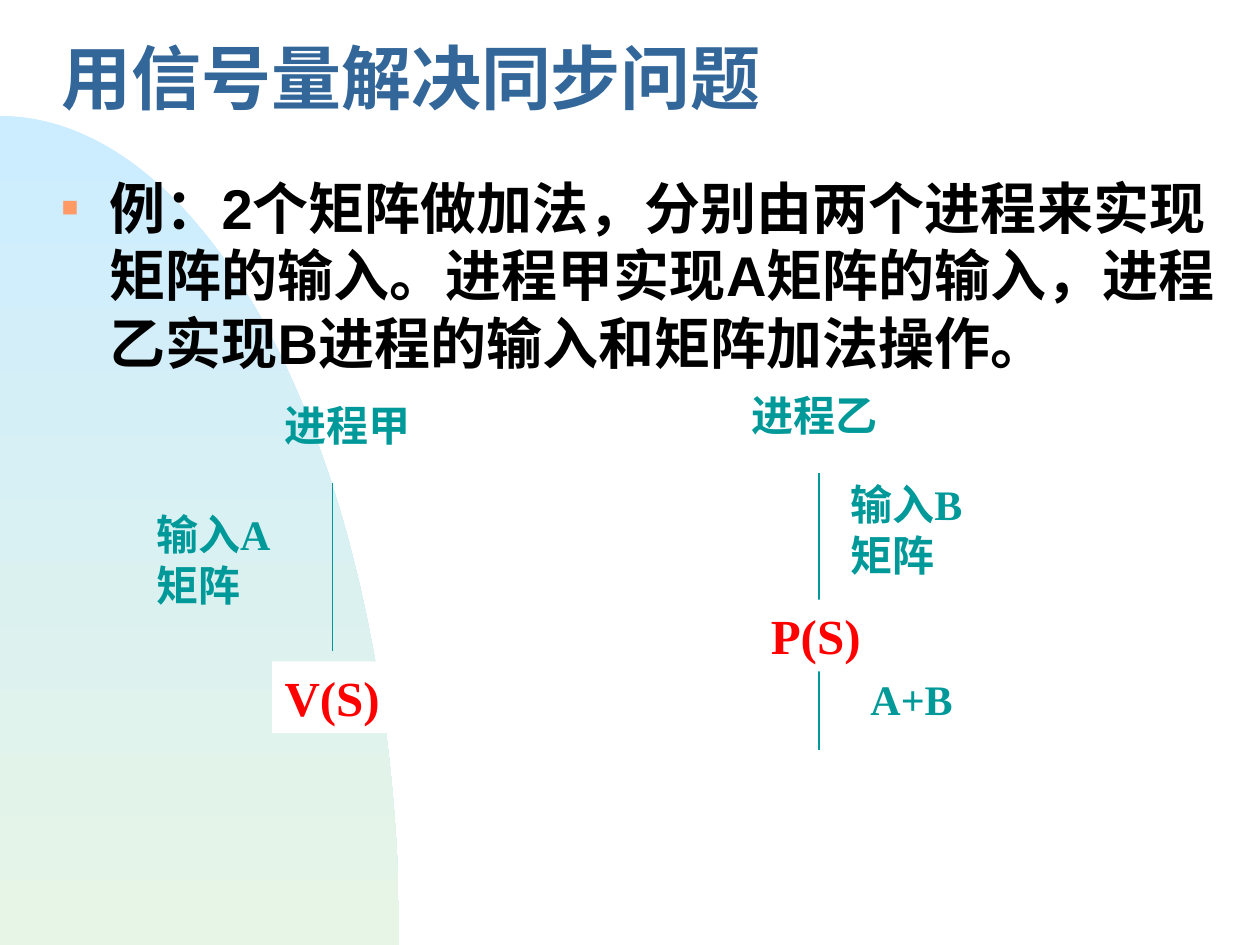
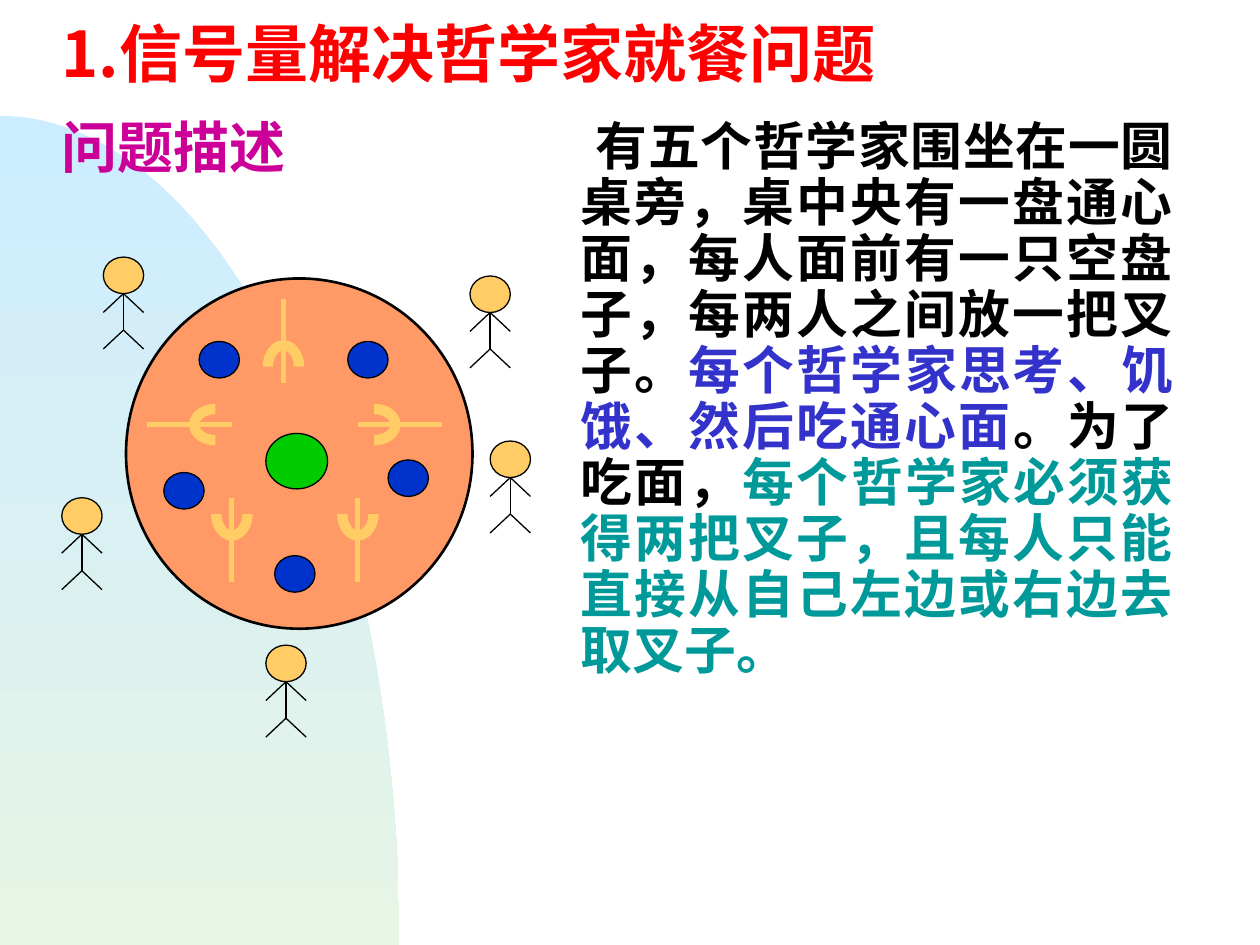
import math
from dataclasses import dataclass

from lxml import etree
from pptx import Presentation
from pptx.dml.color import RGBColor
from pptx.enum import shapes, text
from pptx.oxml.ns import qn
from pptx.util import Inches, Pt


@dataclass(frozen=True)
class Theme:
    white: str = "FFFFFF"
    black: str = "000000"
    sky: str = "CCECFF"
    meadow: str = "E6F5E6"
    heading: str = "336699"
    red: str = "FF0000"
    magenta: str = "CC0099"
    teal: str = "009999"
    violet: str = "3333CC"
    orange: str = "FF9966"
    sand: str = "FFCC66"
    plate: str = "0033CC"
    noodles: str = "00CC00"
    sans: str = "Arial"
    narrow: str = "Arial Narrow"
    serif: str = "Times New Roman"
    cjk: str = "Noto Sans CJK SC"
    title_size: float = 40
    section_size: float = 36
    body_size: float = 32
    story_size: float = 29.6
    semaphore_size: float = 28
    label_size: float = 24
    thin: float = 0.75
    rim: float = 1.5
    fork: float = 3


THEME = Theme()
LINE_HEIGHT = 1.2


def rgb(value):
    return RGBColor.from_string(value)


def add_shape(parent, kind, box, fill, line=None, width=THEME.thin):
    shape = parent.shapes.add_shape(kind, *map(Inches, box))
    shape.shadow.inherit = False
    shape.fill.solid()
    shape.fill.fore_color.rgb = rgb(fill)
    if line:
        shape.line.color.rgb = rgb(line)
        shape.line.width = Pt(width)
    else:
        shape.line.fill.background()
    return shape


def add_line(parent, start, end, color, width=THEME.thin):
    line = parent.shapes.add_connector(
        shapes.MSO_CONNECTOR.STRAIGHT, *map(Inches, (*start, *end)))
    line.line.color.rgb = rgb(color)
    line.line.width = Pt(width)
    etree.SubElement(line._element.spPr, qn("a:effectLst"))


def write(shape, runs, font, size, spacing=1.0, anchor=text.MSO_ANCHOR.TOP,
          align=text.PP_ALIGN.LEFT):
    frame = shape.text_frame
    frame.word_wrap = True
    frame.vertical_anchor = anchor
    paragraph = frame.paragraphs[0]
    paragraph.alignment = align
    paragraph.line_spacing = Pt(round(size * LINE_HEIGHT * spacing, 1))
    for words, color in runs:
        run = paragraph.add_run()
        run.text = words
        run.font.name = font
        run.font.size = Pt(size)
        run.font.bold = True
        run.font.color.rgb = rgb(color)
        east_asian = etree.SubElement(run._r.get_or_add_rPr(), qn("a:ea"))
        east_asian.set("typeface", THEME.cjk)
    return paragraph


def add_text(slide, box, runs, font, size, **options):
    return write(slide.shapes.add_textbox(*map(Inches, box)),
                 runs, font, size, **options)


def indent(paragraph, margin, first):
    properties = paragraph._p.get_or_add_pPr()
    properties.set("marL", str(Inches(margin)))
    properties.set("indent", str(Inches(first)))
    return properties


def add_bullet(paragraph):
    properties = indent(paragraph, 0.38, -0.38)
    color = etree.SubElement(properties, qn("a:buClr"))
    etree.SubElement(color, qn("a:srgbClr")).set("val", THEME.orange)
    etree.SubElement(properties, qn("a:buSzPct")).set("val", "50000")
    etree.SubElement(properties, qn("a:buFont")).set("typeface", THEME.sans)
    etree.SubElement(properties, qn("a:buChar")).set("char", "■")


def add_hill(slide, left=0, top=0.92, width=3.17, height=6.58, steps=120):
    bottom = top + height
    angles = [math.pi / 2 * step / steps for step in range(steps + 1)]
    crest = [(Inches(left + width * math.sin(a)),
              Inches(bottom - height * math.cos(a))) for a in angles]
    outline = slide.shapes.build_freeform(*crest[0])
    outline.add_line_segments(
        crest[1:] + [(Inches(left), Inches(bottom))], close=True)
    hill = outline.convert_to_shape()
    hill.shadow.inherit = False
    hill.line.fill.background()
    hill.fill.gradient()
    hill.fill.gradient_angle = 270
    for stop, color, position in zip(
            hill.fill.gradient_stops, (THEME.sky, THEME.meadow), (0, 1)):
        stop.color.rgb = rgb(color)
        stop.position = position


def start_slide(deck, title, height, color, font, size):
    slide = deck.slides.add_slide(deck.slide_layouts[6])
    add_hill(slide)
    add_text(slide, (0.39, 0.17, 9.44, height), [(title, color)], font, size,
             spacing=0.7, anchor=text.MSO_ANCHOR.MIDDLE)
    return slide


def add_process(slide, left, top, name, strokes, labels, semaphore):
    for x, y, length in strokes:
        add_line(slide, (left + x, top + y), (left + x, top + y + length),
                 THEME.teal)
    for words, x, y, width, height in [(name, 0, 0, 2.2, 0.5), *labels]:
        add_text(slide, (left + x, top + y, width, height),
                 [(words, THEME.teal)], THEME.serif, THEME.label_size)
    words, x, y, width = semaphore
    operation = add_shape(slide, shapes.MSO_SHAPE.RECTANGLE,
                          (left + x, top + y, width, 0.57), THEME.white)
    write(operation, [(words, THEME.red)], THEME.serif, THEME.semaphore_size)


def add_philosopher(scene, left, top):
    def at(x, y):
        return left + x, top + y

    add_shape(scene, shapes.MSO_SHAPE.OVAL, (left, top, 0.32, 0.29),
              THEME.sand, THEME.black)
    neck, chest, hip = at(0.16, 0.29), at(0.16, 0.44), at(0.16, 0.58)
    limbs = [(neck, chest), (chest, hip),
             (hip, at(0, 0.73)), (hip, at(0.32, 0.73)),
             (neck, at(0, 0.44)), (neck, at(0.32, 0.44))]
    for start, end in limbs:
        add_line(scene, start, end, THEME.black)


def add_fork(scene, x, y, rotation):
    turn = math.radians(rotation)
    across, down = -math.sin(turn), math.cos(turn)
    add_line(scene, (x, y), (x + 0.67 * across, y + 0.67 * down),
             THEME.sand, THEME.fork)
    width, height, reach = 0.33, 0.42, 0.54
    prongs = add_shape(scene, shapes.MSO_SHAPE.BLOCK_ARC,
                       (x + reach * across - width / 2,
                        y + reach * down - height / 2, width, height),
                       THEME.sand)
    prongs.rotation = rotation


def add_dinner(slide, left, top):
    scene = slide.shapes.add_group_shape()
    oval = shapes.MSO_SHAPE.OVAL
    add_shape(scene, oval, (left, top, 2.75, 2.78), THEME.orange,
              THEME.black, THEME.rim)
    for x, y in [(0.58, 0.5), (1.76, 0.5), (2.08, 1.44), (1.18, 2.2),
                 (0.3, 1.54)]:
        add_shape(scene, oval, (left + x, top + y, 0.32, 0.29),
                  THEME.plate, THEME.black)
    for x, y in [(2.73, -0.02), (2.89, 1.29), (1.11, 2.91), (-0.18, -0.17),
                 (-0.51, 1.74)]:
        add_philosopher(scene, left + x, top + y)
    add_shape(scene, oval, (left + 1.11, top + 1.23, 0.49, 0.44),
              THEME.noodles, THEME.black)
    for x, y, rotation in [(1.25, 0.16, 0), (0.17, 1.16, 270),
                           (2.51, 1.16, 90), (1.84, 2.41, 180),
                           (0.84, 2.41, 180)]:
        add_fork(scene, left + x, top + y, rotation)


def build_matrix_slide(deck):
    slide = start_slide(deck, "用信号量解决同步问题", 1.08, THEME.heading,
                        THEME.narrow, THEME.title_size)
    example = ("例：2个矩阵做加法，分别由两个进程来实现矩阵的输入。"
               "进程甲实现A矩阵的输入，进程乙实现B进程的输入和矩阵加法操作。")
    add_bullet(add_text(slide, (0.39, 1.33, 9.36, 5.58),
                        [(example, THEME.black)], THEME.sans,
                        THEME.body_size))
    add_process(slide, 2.16, 3.12, "进程甲",
                strokes=[(0.48, 0.71, 1.34)],
                labels=[("输入A矩阵", -1.02, 0.87, 1.18, 1.3)],
                semaphore=("V(S)", 0, 2.13, 1.42))
    add_process(slide, 5.87, 3.04, "进程乙",
                strokes=[(0.63, 0.71, 1.1), (0.63, 1.97, 0.94)],
                labels=[("输入B矩阵", 0.78, 0.71, 1.18, 0.9),
                        ("A+B", 0.94, 2.26, 1.65, 0.5)],
                semaphore=("P(S)", 0.15, 1.72, 1.1))


def build_philosophers_slide(deck):
    slide = start_slide(deck, "1.信号量解决哲学家就餐问题", 0.67, THEME.red,
                        THEME.cjk, THEME.section_size)
    add_text(slide, (0.39, 0.84, 9.36, 5.58), [("问题描述", THEME.magenta)],
             THEME.sans, THEME.body_size)
    add_dinner(slide, 1, 2.21)
    story = [
        ("有五个哲学家围坐在一圆桌旁，桌中央有一盘通心面，每人面前有一只空盘子，"
         "每两人之间放一把叉子。", THEME.black),
        ("每个哲学家思考、饥饿、然后吃通心面", THEME.violet),
        ("。为了吃面，", THEME.black),
        ("每个哲学家必须获得两把叉子，且每人只能直接从自己左边或右边去取叉子。",
         THEME.teal),
    ]
    indent(add_text(slide, (4.13, 0.9, 5.28, 5.51), story, THEME.cjk,
                    THEME.story_size, spacing=0.9,
                    align=text.PP_ALIGN.JUSTIFY), 0.38, 0.12)


def main():
    deck = Presentation()
    deck.slide_width = Inches(10)
    deck.slide_height = Inches(7.5)
    build_matrix_slide(deck)
    build_philosophers_slide(deck)
    deck.save("out.pptx")


if __name__ == "__main__":
    main()
